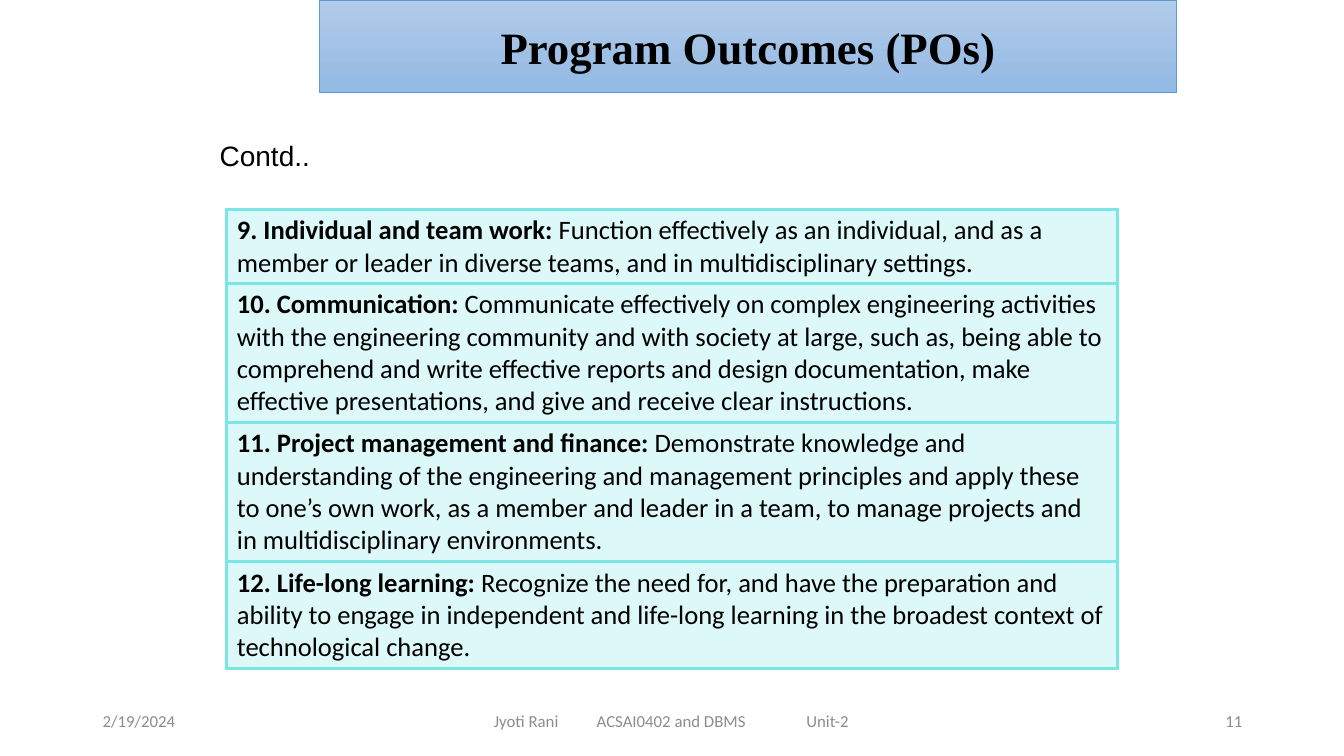
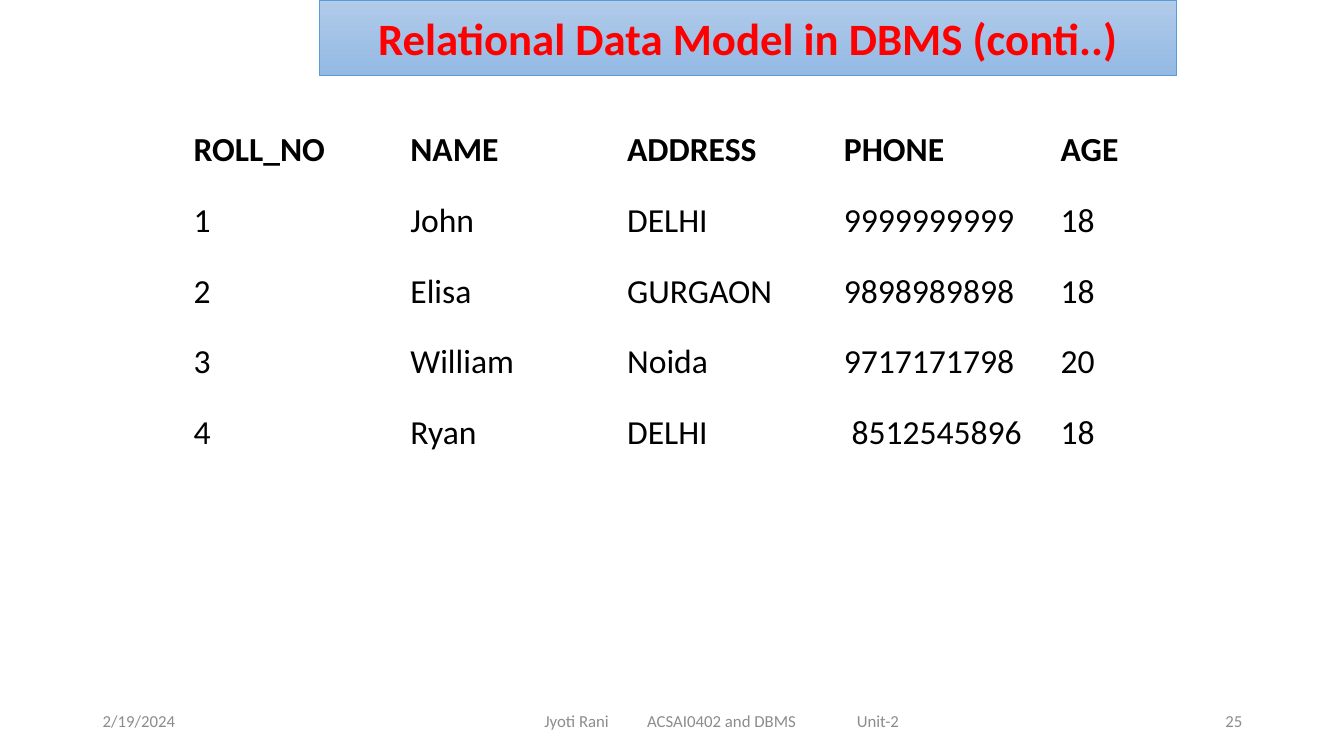
from dataclasses import dataclass

from lxml import etree
from pptx import Presentation
from pptx import util as u
from pptx.dml.color import RGBColor
from pptx.enum import shapes, text
from pptx.oxml import ns

Inches, Pt = u.Inches, u.Pt
PP, MSO = text.PP_ALIGN, text.MSO_ANCHOR


@dataclass(frozen=True)
class Theme:
    body_font: str = "Calibri"
    serif_font: str = "Times New Roman"
    note_font: str = "Arial"
    black: str = "000000"
    red: str = "FF0000"
    grey: str = "8C8C8C"
    band_top: str = "B1CBE9"
    band_bottom: str = "93B9E4"
    band_line: str = "5B9BD5"
    aqua: str = "7BE5E5"
    title_size: float = 32
    table_size: float = 24
    note_size: float = 20
    outcome_size: float = 19
    footer_size: float = 12


THEME = Theme()


@dataclass(frozen=True)
class Frame:
    """The title band and footer of one slide."""
    title: str
    title_font: str
    title_color: str
    band_height: float
    footer_left: float
    number: str


@dataclass(frozen=True)
class Outcome:
    heading: str
    detail: str
    height: float


DATE = "2/19/2024"
FOOTER = "Jyoti Rani\tACSAI0402 and DBMS\tUnit-2"
FOOTER_TABS = (1.02, 3.1)

POS_FRAME = Frame("Program Outcomes (POs)", THEME.serif_font, THEME.black, 0.92, 4.8, "11")
MODEL_FRAME = Frame("Relational Data Model in DBMS (conti..)", THEME.body_font, THEME.red,
                    0.75, 5.3, "25")

OUTCOMES = [
    Outcome("9. Individual and team work: ",
            "Function effectively as an individual, and as a member or leader in diverse "
            "teams, and in multidisciplinary settings.", 0.73),
    Outcome("10. Communication: ",
            "Communicate effectively on complex engineering activities with the engineering "
            "community and with society at large, such as, being able to comprehend and write "
            "effective reports and design documentation, make effective presentations, and "
            "give and receive clear instructions.", 1.38),
    Outcome("11. Project management and finance: ",
            "Demonstrate knowledge and understanding of the engineering and management "
            "principles and apply these to one’s own work, as a member and leader in a team, "
            "to manage projects and in multidisciplinary environments.", 1.38),
    Outcome("12. Life-long learning: ",
            "Recognize the need for, and have the preparation and ability to engage in "
            "independent and life-long learning in the broadest context of technological "
            "change.", 1.06),
]

STUDENTS = [
    ("ROLL_NO", "NAME", "ADDRESS", "PHONE", "AGE"),
    ("1", "John", "DELHI", "9999999999", "18"),
    ("2", "Elisa", "GURGAON", "9898989898", "18"),
    ("3", "William", "Noida", "9717171798", "20"),
    ("4", "Ryan", "DELHI", " 8512545896", "18"),
]


def rgb(color: str) -> RGBColor:
    return RGBColor.from_string(color)


def style_run(r, size: float, color: str = THEME.black, font: str = THEME.body_font,
              bold: bool = False) -> None:
    r.font.size, r.font.name, r.font.bold = Pt(size), font, bold
    r.font.color.rgb = rgb(color)


def add_label(s, left: float, top: float, width: float, height: float, label: str,
              size: float, color: str, font: str = THEME.body_font, align=PP.LEFT,
              anchor=MSO.MIDDLE, wrap: bool = True):
    sp = s.shapes.add_textbox(Inches(left), Inches(top), Inches(width), Inches(height))
    tf = sp.text_frame
    tf.word_wrap, tf.vertical_anchor = wrap, anchor
    p = tf.paragraphs[0]
    p.text, p.alignment = label, align
    for r in p.runs:
        style_run(r, size, color, font)
    return p


def add_tabs(p, stops: tuple[float, ...]) -> None:
    tabs = etree.SubElement(p._p.get_or_add_pPr(), ns.qn("a:tabLst"))
    for stop in stops:
        etree.SubElement(tabs, ns.qn("a:tab"), pos=str(Inches(stop)), algn="l")


def add_title_band(s, frame: Frame) -> None:
    sp = s.shapes.add_shape(shapes.MSO_SHAPE.RECTANGLE, Inches(3.17), 0,
                            Inches(8.5), Inches(frame.band_height))
    sp.shadow.inherit = False
    sp.fill.gradient()
    sp.fill.gradient_angle = 270
    for stop, color in zip(sp.fill.gradient_stops, (THEME.band_top, THEME.band_bottom)):
        stop.color.rgb = rgb(color)
    sp.line.color.rgb, sp.line.width = rgb(THEME.band_line), Pt(0.5)
    tf = sp.text_frame
    tf.text, tf.vertical_anchor, tf.word_wrap = frame.title, MSO.MIDDLE, True
    p = tf.paragraphs[0]
    p.alignment = PP.CENTER
    style_run(p.runs[0], THEME.title_size, frame.title_color, frame.title_font, True)


def add_footer(s, frame: Frame) -> None:
    top, height = 6.95, 0.4
    style = (THEME.footer_size, THEME.grey)
    add_label(s, 0.92, top, 3, height, DATE, *style)
    p = add_label(s, frame.footer_left, top, 3.9, height, FOOTER, *style)
    add_tabs(p, FOOTER_TABS)
    add_label(s, 9.42, top, 3, height, frame.number, *style, align=PP.RIGHT)


def add_framed_slide(prs, frame: Frame):
    s = prs.slides.add_slide(prs.slide_layouts[6])
    add_title_band(s, frame)
    add_footer(s, frame)
    return s


def add_plain_table(s, left: float, top: float, widths: list[float], heights: list[float]):
    """Add a table without header or banding styles."""
    table = s.shapes.add_table(len(heights), len(widths), Inches(left), Inches(top),
                               Inches(sum(widths)), Inches(sum(heights))).table
    table.first_row = table.horz_banding = False
    for column, width in zip(table.columns, widths):
        column.width = Inches(width)
    for row, height in zip(table.rows, heights):
        row.height = Inches(height)
    return table


def tint_cell(cell, color: str, alpha: int, border: float) -> None:
    """Give a cell a see-through fill and solid borders of one colour."""
    cell.fill.solid()
    cell.fill.fore_color.rgb = rgb(color)
    tc_pr = cell._tc.get_or_add_tcPr()
    fill_color = tc_pr.find(ns.qn("a:solidFill")).find(ns.qn("a:srgbClr"))
    etree.SubElement(fill_color, ns.qn("a:alpha"), val=str(alpha * 1000))
    for i, side in enumerate(("lnL", "lnR", "lnT", "lnB")):
        ln = etree.Element(ns.qn(f"a:{side}"), w=str(Pt(border)))
        solid = etree.SubElement(ln, ns.qn("a:solidFill"))
        etree.SubElement(solid, ns.qn("a:srgbClr"), val=color)
        tc_pr.insert(i, ln)


def build_outcomes(prs) -> None:
    s = add_framed_slide(prs, POS_FRAME)
    add_label(s, 2.08, 1.33, 1.1, 0.44, "Contd..", THEME.note_size, THEME.black,
              THEME.note_font, anchor=MSO.TOP, wrap=False)
    table = add_plain_table(s, 2.25, 2.08, [8.83], [o.height for o in OUTCOMES])
    for i, outcome in enumerate(OUTCOMES):
        cell = table.cell(i, 0)
        p = cell.text_frame.paragraphs[0]
        for part, bold in ((outcome.heading, True), (outcome.detail, False)):
            r = p.add_run()
            r.text = part
            style_run(r, THEME.outcome_size, bold=bold)
        tint_cell(cell, THEME.aqua, 25, 2.25)


def build_data_model(prs) -> None:
    s = add_framed_slide(prs, MODEL_FRAME)
    table = add_plain_table(s, 1.82, 1.14, [2.15] * len(STUDENTS[0]), [0.7] * len(STUDENTS))
    for i, student in enumerate(STUDENTS):
        for j, value in enumerate(student):
            cell = table.cell(i, j)
            cell.fill.background()
            cell.margin_top = cell.margin_bottom = Inches(0.15)
            cell.vertical_anchor = MSO.MIDDLE
            p = cell.text_frame.paragraphs[0]
            p.text = value
            style_run(p.runs[0], THEME.table_size, bold=i == 0)


def main() -> None:
    prs = Presentation()
    prs.slide_width, prs.slide_height = Inches(13.33), Inches(7.5)
    build_outcomes(prs)
    build_data_model(prs)
    prs.save("out.pptx")


if __name__ == "__main__":
    main()
